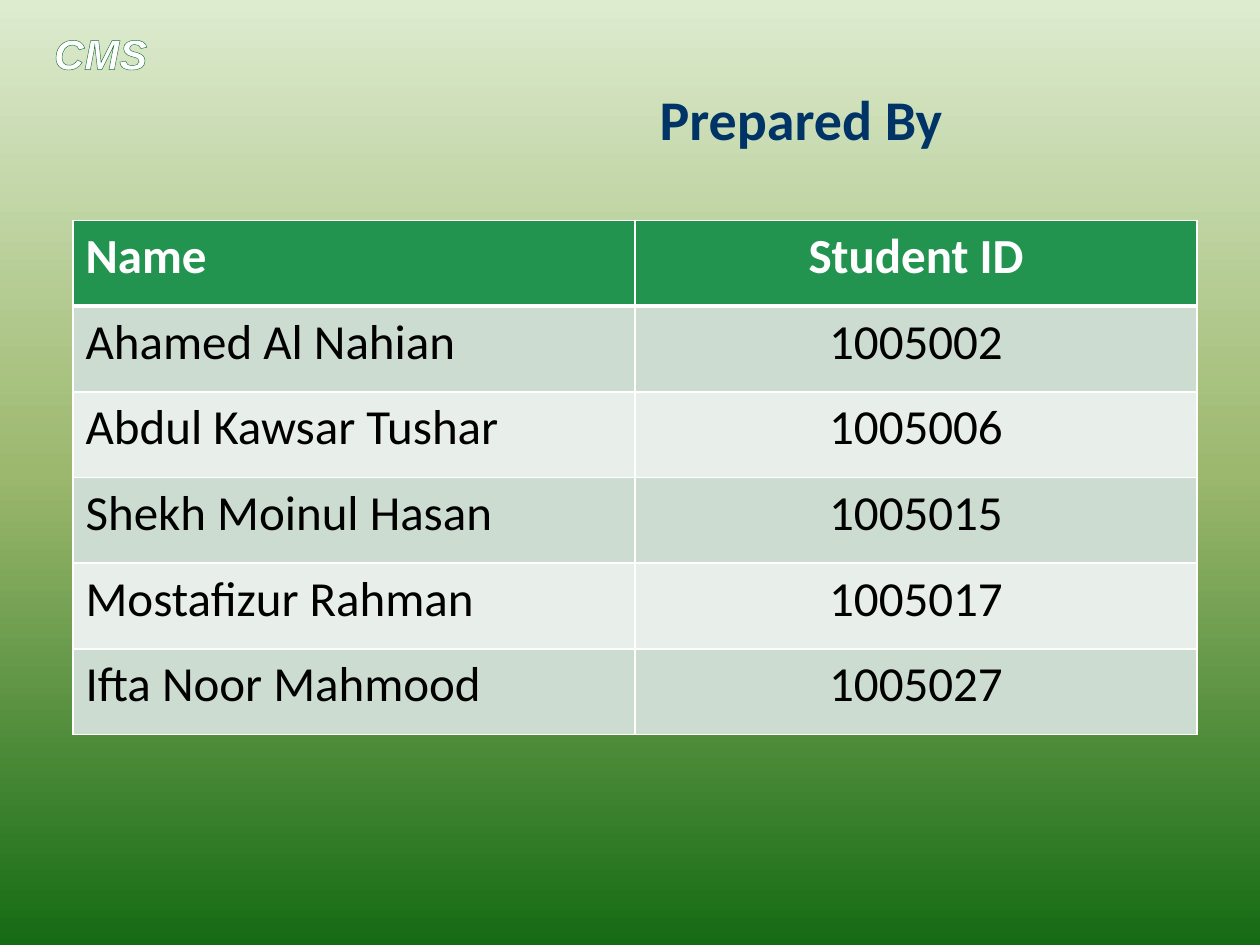
from copy import deepcopy
from dataclasses import dataclass

from lxml import etree
from pptx import Presentation
from pptx import util as u
from pptx.dml.color import RGBColor
from pptx.enum import text
from pptx.oxml.ns import qn


@dataclass(frozen=True)
class Theme:
    background: tuple = ((0, "DDEBCF"), (0.5, "9CB86E"), (1, "156B13"))
    white: str = "FFFFFF"
    black: str = "000000"
    navy: str = "003366"
    outline: str = "196F3C"
    header: str = "229450"
    bands: tuple = ("CDDCD0", "E8EEE9")
    body_font: str = "Calibri"
    label_font: str = "Arial"
    label_size: int = 24
    title_size: int = 32
    table_size: int = 28


def inches(*lengths):
    return [u.Inches(length) for length in lengths]


def add_line(parent, tag, color, points, position):
    line = etree.Element(qn(tag), w=str(u.Pt(points)))
    fill = etree.SubElement(line, qn("a:solidFill"))
    etree.SubElement(fill, qn("a:srgbClr"), val=color)
    parent.insert(position, line)


class SlideBuilder:
    def __init__(self, deck, theme):
        self.theme = theme
        self.slide = deck.slides.add_slide(deck.slide_layouts[5])

    def add_words(self, frame, words, color, align=text.PP_ALIGN.LEFT, **format_values):
        para = frame.paragraphs[0]
        para.alignment = align
        span = para.add_run()
        span.text = words
        span.font.color.rgb = RGBColor.from_string(color)
        for name, value in format_values.items():
            setattr(span.font, name, value)
        return span

    def background(self):
        """Fill the slide with a gradient that runs from top to bottom."""
        fill = self.slide.background.fill
        fill.gradient()
        fill.gradient_angle = 270
        stops = next(self.slide.element.iter(qn("a:gsLst")))
        stops.insert(1, deepcopy(stops[0]))
        for stop, (position, color) in zip(fill.gradient_stops, self.theme.background):
            stop.position = position
            stop.color.rgb = RGBColor.from_string(color)

    def label(self, words, *place):
        frame = self.slide.shapes.add_textbox(*inches(*place)).text_frame
        frame.word_wrap = True
        span = self.add_words(frame, words, self.theme.white, name=self.theme.label_font,
                              size=u.Pt(self.theme.label_size), bold=True, italic=True)
        add_line(span.font._element, "a:ln", self.theme.outline, 1, 0)

    def title(self, words, *place):
        box = self.slide.shapes.title
        box.left, box.top, box.width, box.height = inches(*place)
        box.text_frame.vertical_anchor = text.MSO_ANCHOR.MIDDLE
        self.add_words(box.text_frame, words, self.theme.navy, text.PP_ALIGN.RIGHT,
                       name=self.theme.body_font, size=u.Pt(self.theme.title_size), bold=True)

    def table(self, rows, alignments, *place):
        grid = self.slide.shapes.add_table(len(rows), len(alignments), *inches(*place)).table
        for r, row in enumerate(rows):
            for c, (words, align) in enumerate(zip(row, alignments)):
                self.cell(grid.cell(r, c), r, words, align)

    def cell(self, cell, row, words, align):
        theme = self.theme
        is_header = row == 0
        cell.fill.solid()
        fill = theme.header if is_header else theme.bands[(row - 1) % 2]
        cell.fill.fore_color.rgb = RGBColor.from_string(fill)
        self.add_words(cell.text_frame, words, theme.white if is_header else theme.black, align,
                       name=theme.body_font, size=u.Pt(theme.table_size), bold=is_header)
        widths = {"a:lnL": 1, "a:lnR": 1,
                  "a:lnT": 3 if row == 1 else 1, "a:lnB": 3 if is_header else 1}
        for position, (side, points) in enumerate(widths.items()):
            add_line(cell._tc.get_or_add_tcPr(), side, theme.white, points, position)


def main():
    deck = Presentation()
    deck.slide_width, deck.slide_height = inches(10, 7.5)
    builder = SlideBuilder(deck, Theme())
    builder.background()
    builder.label("CMS", 0.33, 0.17, 1.5, 0.5)
    builder.title("Prepared By", 0.58, 0.67, 7, 0.53)
    students = [
        ("Name", "Student ID"),
        ("Ahamed Al Nahian", "1005002"),
        ("Abdul Kawsar Tushar", "1005006"),
        ("Shekh Moinul Hasan", "1005015"),
        ("Mostafizur Rahman", "1005017"),
        ("Ifta Noor Mahmood", "1005027"),
    ]
    builder.table(students, (text.PP_ALIGN.LEFT, text.PP_ALIGN.CENTER),
                  0.58, 1.75, 8.92, 4.08)
    deck.save("out.pptx")


if __name__ == "__main__":
    main()
